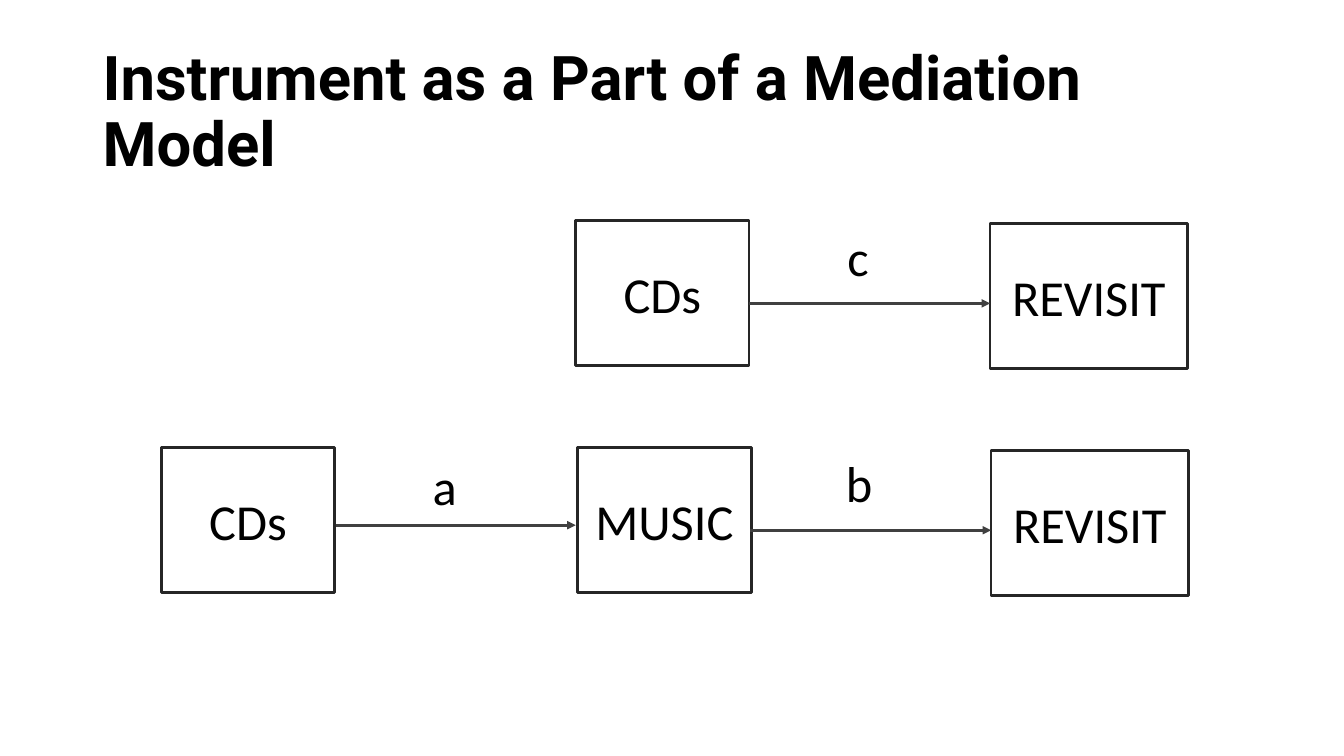
from lxml.etree import SubElement
from pptx import Presentation
from pptx.dml.color import RGBColor
from pptx.enum.shapes import MSO_CONNECTOR, MSO_SHAPE
from pptx.enum.text import MSO_ANCHOR, PP_ALIGN
from pptx.oxml.ns import qn
from pptx.util import Inches, Pt


def color(hex_string):
    return RGBColor.from_string(hex_string)


def write(shape, text, font="Calibri", size=36, bold=False,
          align=PP_ALIGN.CENTER, spacing=None):
    frame = shape.text_frame
    frame.word_wrap = True
    frame.vertical_anchor = MSO_ANCHOR.MIDDLE
    paragraph = frame.paragraphs[0]
    paragraph.alignment = align
    paragraph.line_spacing = spacing
    run = paragraph.add_run()
    run.text = text
    run.font.name = font
    run.font.size = Pt(size)
    run.font.bold = bold
    run.font.color.rgb = color("000000")


deck = Presentation()
deck.slide_width = Inches(13.33)
deck.slide_height = Inches(7.5)
slide = deck.slides.add_slide(deck.slide_layouts[6])
shapes = slide.shapes

# Title
title = shapes.add_textbox(Inches(0.92), Inches(0.4), Inches(11.5), Inches(1.45))
write(title, "Instrument as a Part of a Mediation Model", font="Roboto", size=44,
      bold=True, align=PP_ALIGN.LEFT, spacing=0.9)

# Variables: name, left, top, width
height = 1.44
variables = [
    ("CDs", 5.71, 2.19, 1.72),
    ("REVISIT", 9.82, 2.22, 1.96),
    ("CDs", 1.6, 4.44, 1.72),
    ("MUSIC", 5.73, 4.44, 1.72),
    ("REVISIT", 9.83, 4.47, 1.96),
]
for name, left, top, width in variables:
    variable = shapes.add_shape(MSO_SHAPE.RECTANGLE, Inches(left), Inches(top),
                                Inches(width), Inches(height))
    variable.shadow.inherit = False
    variable.fill.background()
    variable.line.color.rgb = color("262626")
    variable.line.width = Pt(2)
    write(variable, name)

# Paths: coefficient, arrow start, arrow end, arrow height, label top
paths = [
    ("c", 7.43, 9.82, 3.01, 1.82),
    ("a", 3.33, 5.71, 5.21, 4.1),
    ("b", 7.44, 9.83, 5.26, 4.07),
]
for coefficient, start, end, y, label_top in paths:
    arrow = shapes.add_connector(MSO_CONNECTOR.STRAIGHT, Inches(start), Inches(y),
                                 Inches(end), Inches(y))
    arrow.line.color.rgb = color("404040")
    arrow.line.width = Pt(2)
    SubElement(arrow.line._get_or_add_ln(), qn("a:tailEnd"), type="triangle")
    SubElement(arrow._element.spPr, qn("a:effectLst"))

    label = shapes.add_textbox(Inches(start + 0.22), Inches(label_top),
                               Inches(1.72), Inches(height))
    write(label, coefficient)

deck.save("out.pptx")
